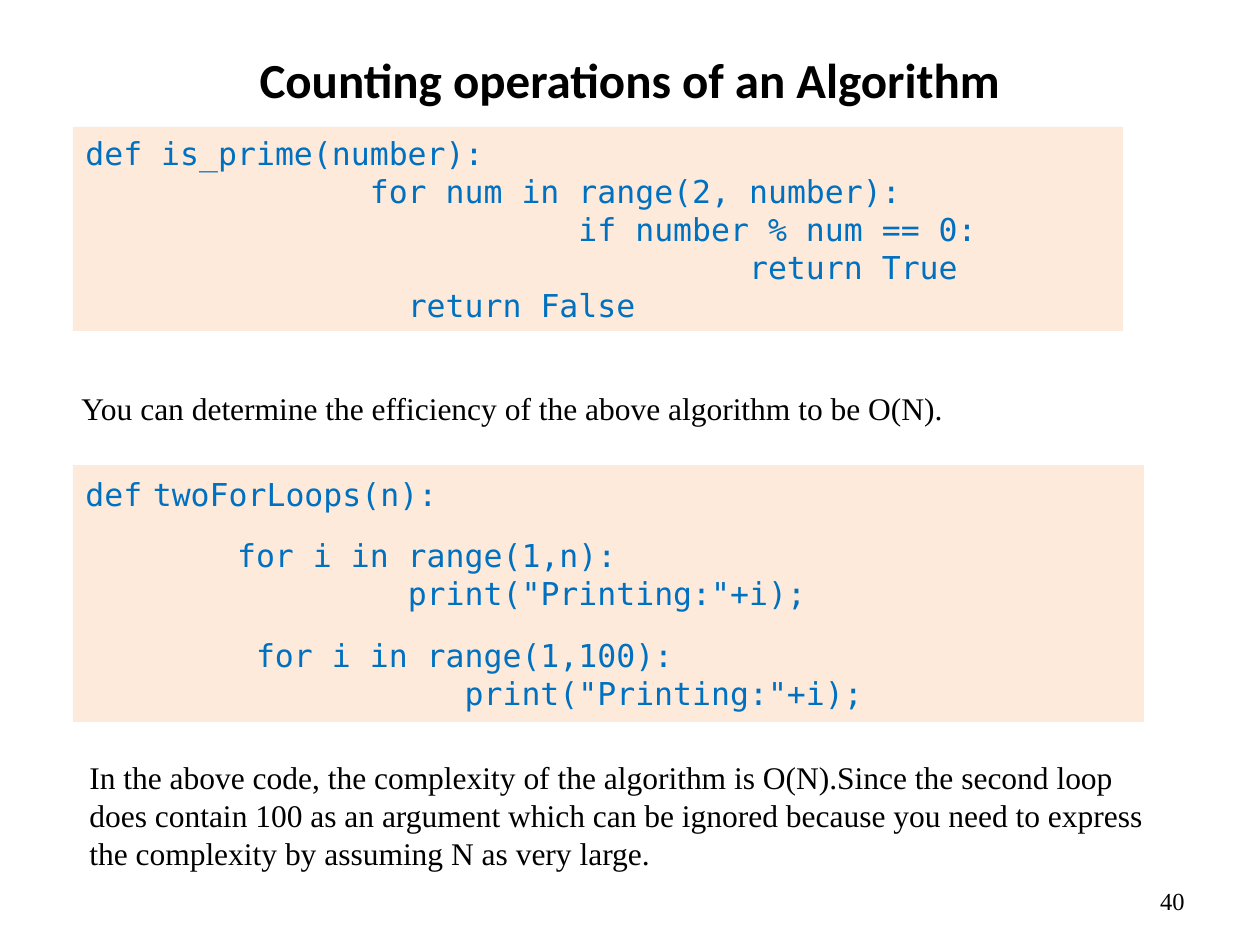
import pptx
import pptx.dml.color
import pptx.enum.shapes
import pptx.enum.text
import pptx.util

EMU_PER_PX = 914400 // 126
ALIGN = pptx.enum.text.PP_ALIGN
ANCHOR = pptx.enum.text.MSO_ANCHOR


def px(length):
    return pptx.util.Emu(round(length * EMU_PER_PX))


def color(value):
    return pptx.dml.color.RGBColor.from_string(value)


class SlideBuilder:
    ink = "000000"
    code_ink = "0070C0"
    code_fill = "FDEADA"
    heading_font = "Calibri"
    body_font = "Times New Roman"
    code_font = "DejaVu Sans Mono"
    code_size = 18
    char_width = 0.602 * code_size  # points per monospaced character

    def __init__(self, page):
        self.page = page

    def format_span(self, span, font, size, ink, bold=False):
        span.font.name = font
        span.font.size = pptx.util.Pt(size)
        span.font.bold = bold
        span.font.color.rgb = color(ink)

    def text(self, place, words, font=body_font, size=18, bold=False,
             align=ALIGN.LEFT, anchor=ANCHOR.MIDDLE):
        box = self.page.shapes.add_textbox(*map(px, place))
        frame = box.text_frame
        frame.word_wrap = True
        frame.vertical_anchor = anchor
        frame.text = words
        para = frame.paragraphs[0]
        para.alignment = align
        self.format_span(para.runs[0], font, size, self.ink, bold)

    def code(self, place, lines):
        """Each line is (indent in characters, space before in points, spans)."""
        box = self.page.shapes.add_shape(
            pptx.enum.shapes.MSO_SHAPE.RECTANGLE, *map(px, place))
        box.shadow.inherit = False
        box.fill.solid()
        box.fill.fore_color.rgb = color(self.code_fill)
        box.line.fill.background()
        frame = box.text_frame
        frame.word_wrap = True
        frame.vertical_anchor = ANCHOR.MIDDLE
        frame.text = "\n".join("" for _ in lines)
        for para, (indent, space, spans) in zip(frame.paragraphs, lines):
            para.alignment = ALIGN.LEFT
            para.space_before = pptx.util.Pt(space)
            margin = pptx.util.Pt(indent * self.char_width)
            para._p.get_or_add_pPr().set("marL", str(int(margin)))
            for words in spans:
                span = para.add_run()
                span.text = words
                size = self.code_size if words.strip() else 10
                self.format_span(span, self.code_font, size, self.code_ink)


def main():
    deck = pptx.Presentation()
    deck.slide_width, deck.slide_height = px(1260), px(945)
    page = deck.slides.add_slide(deck.slide_layouts[6])
    builder = SlideBuilder(page)

    # Title
    builder.text((157, 21, 945, 116), "Counting operations of an Algorithm",
                 font=builder.heading_font, size=28, bold=True,
                 align=ALIGN.CENTER)

    # First example and its efficiency
    builder.code((73, 127, 1050, 204), [
        (0, 0, ["def is_prime(number):"]),
        (15, 0, ["for num in range(2, number):"]),
        (26, 0, ["if number % num == 0:"]),
        (35, 0, ["return True"]),
        (17, 0, ["return False"]),
    ])
    builder.text((69, 383, 1128, 50),
                 "You can determine the efficiency of the above algorithm "
                 "to be O(N).")

    # Second example and its efficiency
    builder.code((73, 465, 1071, 257), [
        (0, 0, ["def", " ", "twoForLoops(n):"]),
        (8, 13, ["for i in range(1,n):"]),
        (17, 0, ['print("Printing:"+i);']),
        (9, 14, ["for i in range(1,100):"]),
        (20, 0, ['print("Printing:"+i);']),
    ])
    builder.text((77, 752, 1099, 127),
                 "In the above code, the complexity of the algorithm is "
                 "O(N).Since the second loop does contain 100 as an argument "
                 "which can be ignored because you need to express the "
                 "complexity by assuming N as very large.",
                 anchor=ANCHOR.TOP)

    # Page number
    builder.text((903, 876, 294, 50), "40", size=14, align=ALIGN.RIGHT)

    deck.save("out.pptx")


if __name__ == "__main__":
    main()
